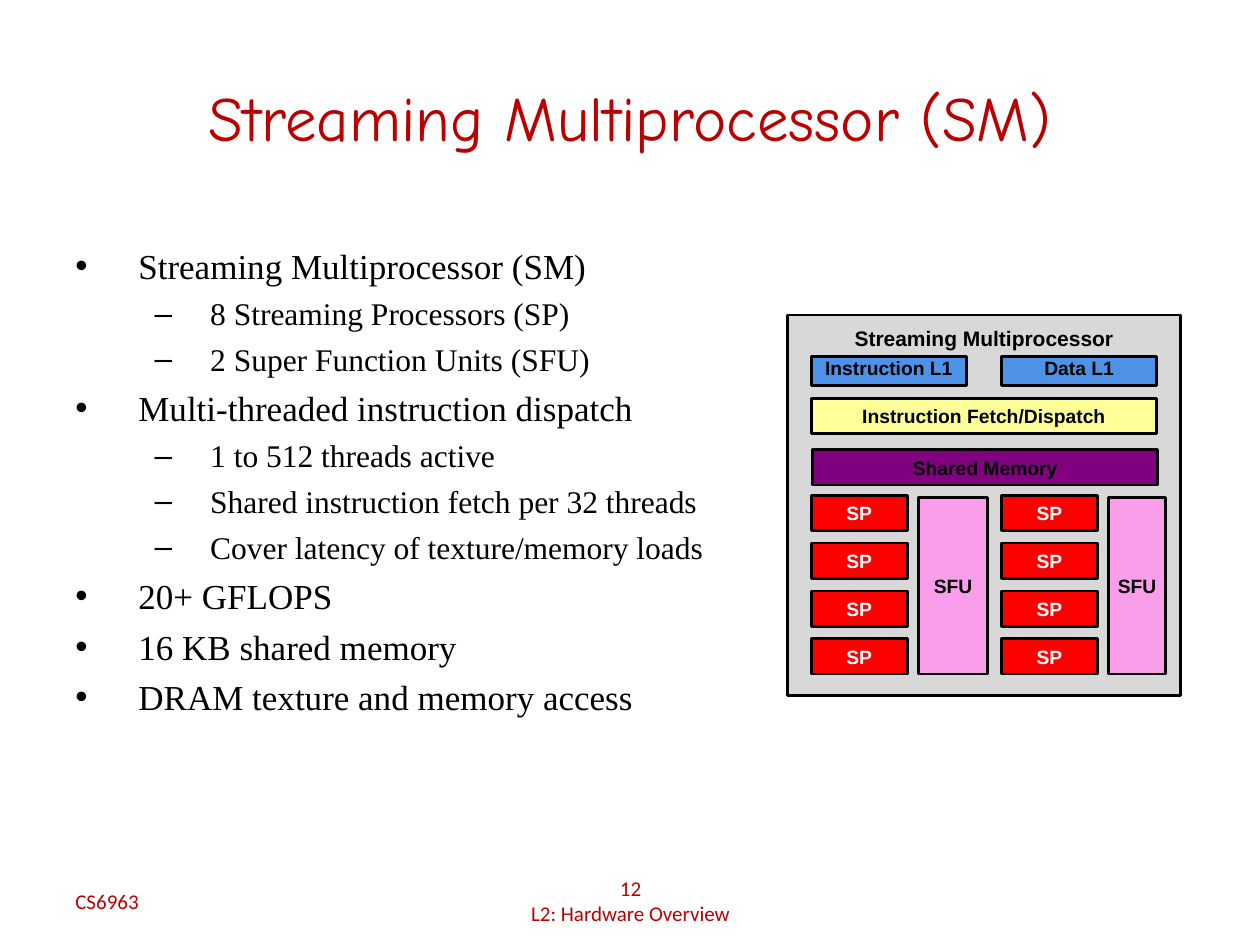
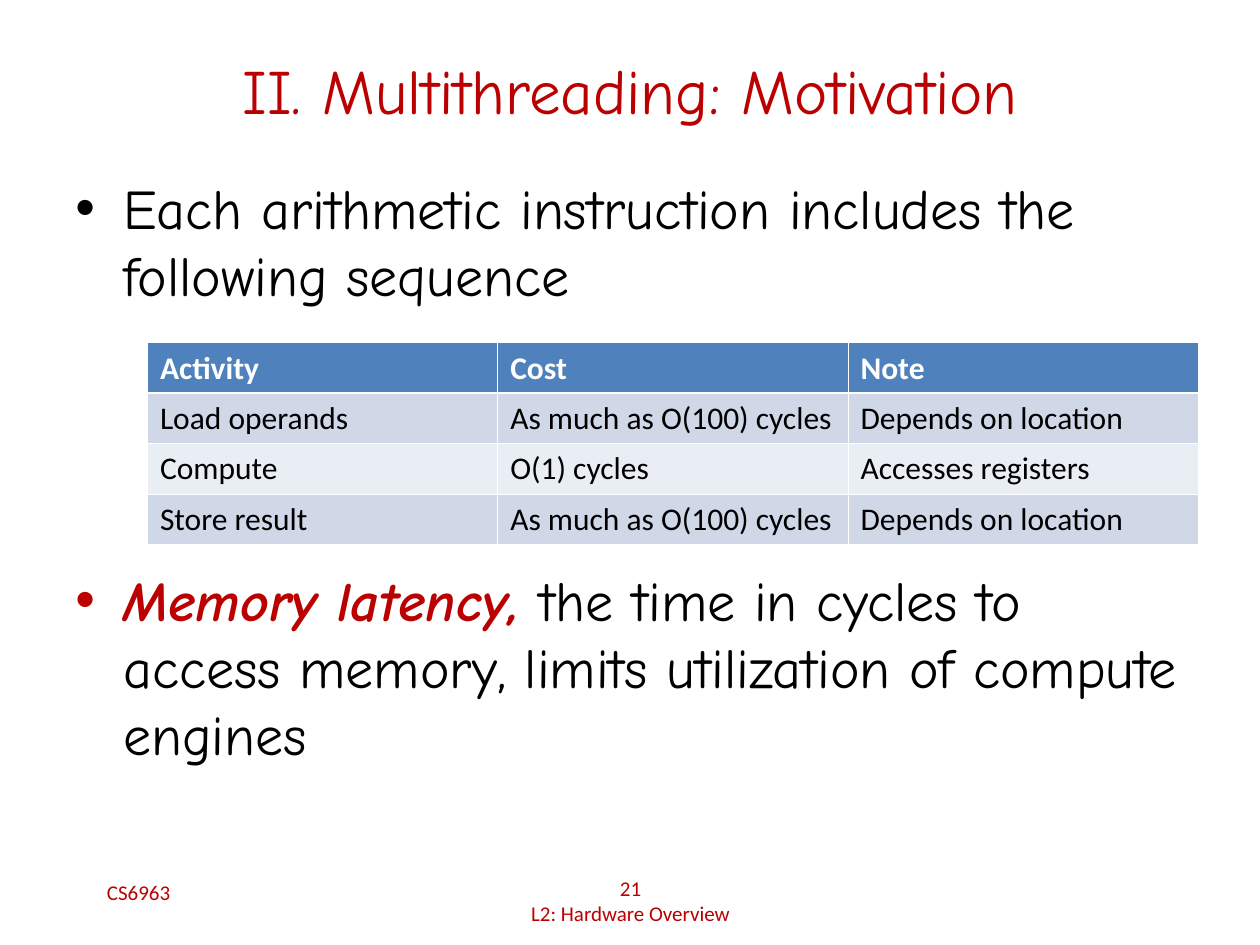
"""Build two lecture slides on streaming multiprocessors and multithreading."""
import pptx
import pptx.dml.color
import pptx.enum.shapes
import pptx.enum.text
import pptx.oxml.ns
import pptx.util
from lxml import etree

Inches = pptx.util.Inches
Pt = pptx.util.Pt
ALIGN = pptx.enum.text.PP_ALIGN
ANCHOR = pptx.enum.text.MSO_ANCHOR

RED, BLACK, WHITE = "BA0000", "000000", "FFFFFF"
HAND, SERIF, SANS, LABEL = "Comic Neue", "Times New Roman", "Calibri", "Arial"
LECTURE = "L2: Hardware Overview"
COURSE = "CS6963"

SM_SLIDE = {"title": "Streaming Multiprocessor (SM)", "title_top": 0.3,
            "number": "12", "course_box": (0.5, 6.95, 2.33, 0.4)}
MOTIVATION_SLIDE = {"title": "II. Multithreading: Motivation", "title_top": 0.08,
                    "number": "21", "course_box": (0.75, 6.83, 2.08, 0.5)}

SM_POINTS = [
    (0, "Streaming Multiprocessor (SM)"),
    (1, "8 Streaming Processors (SP)"),
    (1, "2 Super Function Units (SFU)"),
    (0, "Multi-threaded instruction dispatch"),
    (1, "1 to 512 threads active"),
    (1, "Shared instruction fetch per 32 threads"),
    (1, "Cover latency of texture/memory loads"),
    (0, "20+ GFLOPS"),
    (0, "16 KB shared memory"),
    (0, "DRAM texture and memory access"),
]
POINT_LEVELS = [
    {"char": "•", "margin": 0.5, "hanging": 0.5, "size": 20, "before": 5},
    {"char": "–", "margin": 1.07, "hanging": 0.44, "size": 18, "before": 4.5},
]

SM_PANEL = ("Streaming Multiprocessor", (6.25, 2.5, 3.12, 3.02), "D8D8D8")
SM_UNITS = [
    ("Instruction L1", (6.44, 2.83, 1.23, 0.23), "4D92E6"),
    ("Data L1", (7.95, 2.83, 1.23, 0.23), "4D92E6"),
    ("Instruction Fetch/Dispatch", (6.44, 3.16, 2.74, 0.28), "FFFF99"),
    ("Shared Memory", (6.45, 3.57, 2.74, 0.28), "800080"),
    ("SFU", (7.29, 3.95, 0.55, 1.4), "FA9EEC"),
    ("SFU", (8.8, 3.95, 0.45, 1.4), "FA9EEC"),
]
SP_LEFTS, SP_TOP, SP_PITCH, SP_ROWS = (6.44, 7.95), 3.93, 0.38, 4

SEQUENCE_INTRO = "Each arithmetic instruction includes the following sequence"
LATENCY_TERM = "Memory latency, "
LATENCY_TEXT = "the time in cycles to access memory, limits utilization of compute engines"
TABLE_GAP = 147
COST_ROWS = [
    ("Activity", "Cost", "Note"),
    ("Load operands", "As much as O(100) cycles", "Depends on location"),
    ("Compute", "O(1) cycles", "Accesses registers"),
    ("Store result", "As much as O(100) cycles", "Depends on location"),
]
HEADER_FILL, ROW_FILLS = "4F81BD", ("D0D8E8", "E9EDF4")


def rgb(color):
    return pptx.dml.color.RGBColor.from_string(color)


def inches(box):
    return [Inches(value) for value in box]


def set_font(font, name, size, color, bold=False, italic=False):
    font.name, font.size, font.bold, font.italic = name, Pt(size), bold, italic
    font.color.rgb = rgb(color)


def add_child(parent, tag, **attributes):
    return etree.SubElement(parent, pptx.oxml.ns.qn(tag), **attributes)


def add_bullet(paragraph, char, color, margin, hanging):
    properties = paragraph._p.get_or_add_pPr()
    properties.set("marL", str(Inches(margin)))
    properties.set("indent", str(-Inches(hanging)))
    bullet_color = add_child(properties, "a:buClr")
    add_child(bullet_color, "a:srgbClr", val=color)
    add_child(properties, "a:buFont", typeface=LABEL)
    add_child(properties, "a:buChar", char=char)


def add_text_box(slide, box, anchor=ANCHOR.TOP):
    frame = slide.shapes.add_textbox(*inches(box)).text_frame
    frame.word_wrap = True
    frame.vertical_anchor = anchor
    return frame


def add_lines(slide, box, lines, font, size, align):
    frame = add_text_box(slide, box, ANCHOR.MIDDLE)
    for index, line in enumerate(lines):
        paragraph = frame.add_paragraph() if index else frame.paragraphs[0]
        paragraph.text = line
        paragraph.alignment = align
        set_font(paragraph.font, font, size, RED)


def add_slide(presentation, settings):
    slide = presentation.slides.add_slide(presentation.slide_layouts[6])
    add_lines(slide, (0.5, settings["title_top"], 9, 1.25), [settings["title"]],
              HAND, 36, ALIGN.CENTER)
    add_lines(slide, settings["course_box"], [COURSE], SANS, 12, ALIGN.LEFT)
    add_lines(slide, (3.42, 6.95, 3.17, 0.4), [settings["number"], LECTURE],
              SANS, 12, ALIGN.CENTER)
    return slide


def add_unit(slide, label, box, fill, color=BLACK, size=11, anchor=ANCHOR.MIDDLE, inset=0):
    shape = slide.shapes.add_shape(pptx.enum.shapes.MSO_SHAPE.RECTANGLE, *inches(box))
    shape.shadow.inherit = False
    shape.fill.solid()
    shape.fill.fore_color.rgb = rgb(fill)
    shape.line.color.rgb = rgb(BLACK)
    shape.line.width = Pt(1.62)
    frame = shape.text_frame
    frame.margin_left = frame.margin_right = frame.margin_bottom = 0
    frame.margin_top = Inches(inset)
    frame.word_wrap = False
    frame.vertical_anchor = anchor
    paragraph = frame.paragraphs[0]
    paragraph.text = label
    paragraph.alignment = ALIGN.CENTER
    set_font(paragraph.font, LABEL, size, color, bold=True)


def add_sm_points(slide):
    frame = add_text_box(slide, (0.5, 1.89, 5.47, 3.86))
    for index, (level, text) in enumerate(SM_POINTS):
        style = POINT_LEVELS[level]
        paragraph = frame.add_paragraph() if index else frame.paragraphs[0]
        paragraph.text = text
        paragraph.level = level
        add_bullet(paragraph, style["char"], BLACK, style["margin"], style["hanging"])
        if index:
            paragraph.space_before = Pt(style["before"])
        set_font(paragraph.font, SERIF, style["size"], BLACK)


def add_sm_diagram(slide):
    add_unit(slide, *SM_PANEL, size=12, anchor=ANCHOR.TOP, inset=0.08)
    for label, box, fill in SM_UNITS:
        anchor = ANCHOR.TOP if label.endswith("L1") else ANCHOR.MIDDLE
        add_unit(slide, label, box, fill, anchor=anchor)
    for left in SP_LEFTS:
        for row in range(SP_ROWS):
            box = (left, SP_TOP + row * SP_PITCH, 0.76, 0.28)
            add_unit(slide, "SP", box, "FF0000", WHITE)


def add_motivation_points(slide):
    frame = add_text_box(slide, (0.5, 1.33, 9, 4.95))
    intro = frame.paragraphs[0]
    intro.text = SEQUENCE_INTRO
    add_bullet(intro, "•", BLACK, 0.38, 0.38)
    set_font(intro.font, HAND, 32, BLACK)
    latency = frame.add_paragraph()
    add_bullet(latency, "•", RED, 0.38, 0.38)
    latency.space_before = Pt(TABLE_GAP)
    for text, color, strong in ((LATENCY_TERM, RED, True), (LATENCY_TEXT, BLACK, False)):
        run = latency.add_run()
        run.text = text
        set_font(run.font, HAND, 32, color, strong, strong)


def add_borders(cell, top, bottom):
    properties = cell._tc.get_or_add_tcPr()
    widths = {"a:lnL": 0.45, "a:lnR": 0.45, "a:lnT": top, "a:lnB": bottom}
    for tag, width in widths.items():
        line = add_child(properties, tag, w=str(Pt(width)))
        add_child(add_child(line, "a:solidFill"), "a:srgbClr", val=WHITE)


def add_cost_table(slide):
    table = slide.shapes.add_table(len(COST_ROWS), len(COST_ROWS[0]),
                                   *inches((1.17, 2.72, 8.34, 1.6))).table
    for row, texts in enumerate(COST_ROWS):
        header = row == 0
        for column, text in enumerate(texts):
            cell = table.cell(row, column)
            add_borders(cell, 1.47 if row == 1 else 0.45, 1.47 if header else 0.45)
            cell.fill.solid()
            cell.fill.fore_color.rgb = rgb(HEADER_FILL if header else ROW_FILLS[(row - 1) % 2])
            paragraph = cell.text_frame.paragraphs[0]
            paragraph.text = text
            set_font(paragraph.font, SANS, 18, WHITE if header else BLACK, bold=header)


def main():
    presentation = pptx.Presentation()
    presentation.slide_width, presentation.slide_height = Inches(10), Inches(7.5)
    sm_slide = add_slide(presentation, SM_SLIDE)
    add_sm_points(sm_slide)
    add_sm_diagram(sm_slide)
    motivation_slide = add_slide(presentation, MOTIVATION_SLIDE)
    add_motivation_points(motivation_slide)
    add_cost_table(motivation_slide)
    presentation.save("out.pptx")


if __name__ == "__main__":
    main()
